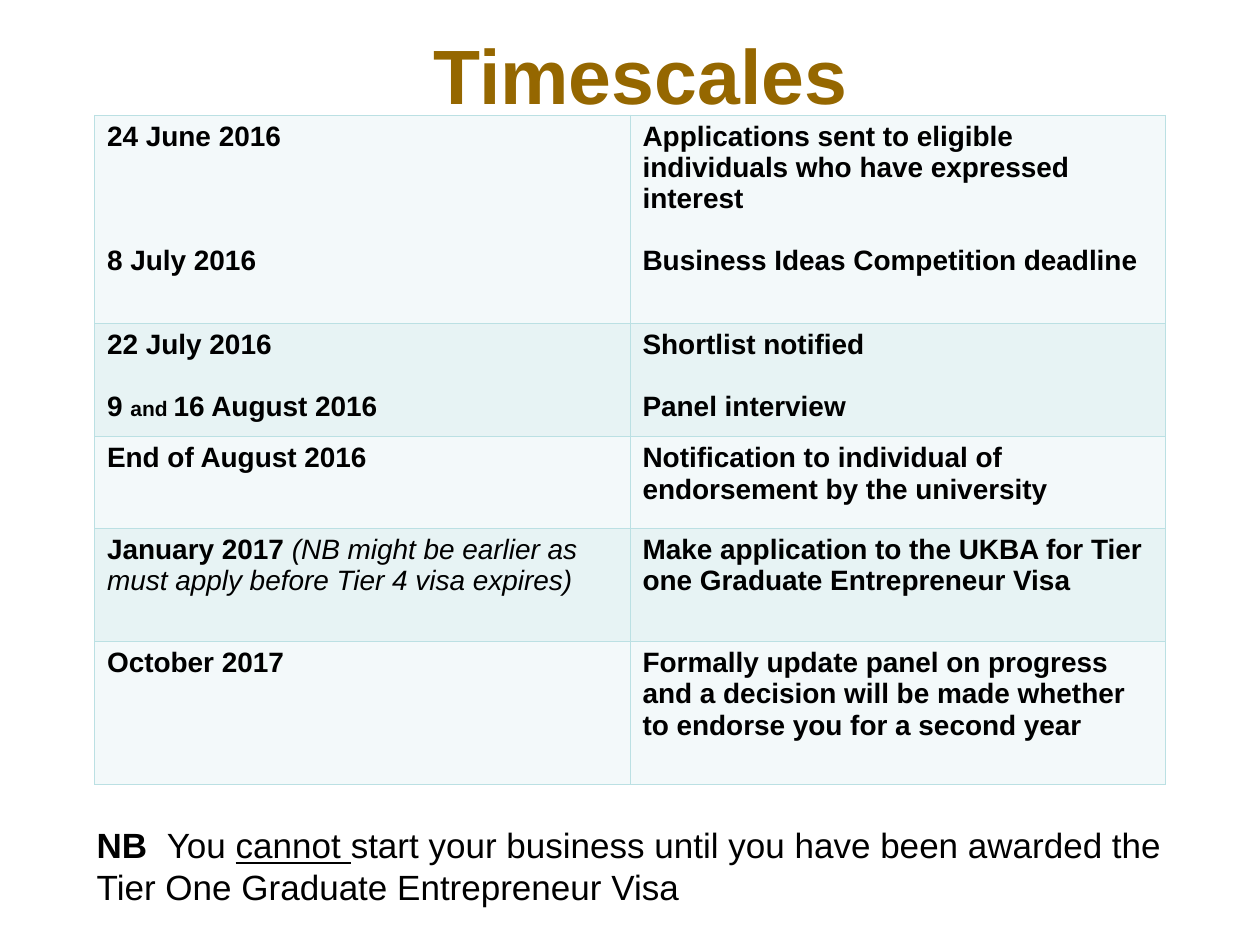
from lxml import etree
from pptx import Presentation
from pptx.dml.color import RGBColor
from pptx.enum.text import MSO_ANCHOR, PP_ALIGN
from pptx.oxml.ns import qn
from pptx.util import Pt

BOTTOM = MSO_ANCHOR.BOTTOM
CENTER = PP_ALIGN.CENTER
EDGES = ("a:lnL", "a:lnR", "a:lnT", "a:lnB")


def color(text):
    return RGBColor.from_string(text)


def write(para, runs, size):
    font = para.font
    font.name, font.size, font.bold = "Arial", Pt(size), True
    font.color.rgb = color("000000")
    for text, style in runs:
        run = para.add_run()
        run.text = text
        for key, value in style.items():
            setattr(run.font, key, value)


deck = Presentation()
deck.slide_width, deck.slide_height = Pt(720), Pt(540)
slide = deck.slides.add_slide(deck.slide_layouts[5])

title = slide.shapes.title
title.left, title.top, title.width, title.height = Pt(60), Pt(0), Pt(612), Pt(72)
frame = title.text_frame
frame.text = "Timescales"
frame.vertical_anchor = BOTTOM
head = frame.paragraphs[0]
head.alignment = CENTER
head.font.name, head.font.size, head.font.bold = "Arial", Pt(44), True
head.font.color.rgb = color("956700")

plain = {}
line = 17.7
rows = [
    (118.8,
     [(0, [("24 June 2016", plain)]), (3 * line, [("8 July 2016", plain)])],
     [(0, [("Applications sent to eligible individuals who have expressed interest", plain)]),
      (line, [("Business Ideas Competition deadline", plain)])]),
    (64.8,
     [(0, [("22 July 2016", plain)]),
      (line, [("9 ", plain), ("and ", {"size": Pt(12)}), ("16 August 2016", plain)])],
     [(0, [("Shortlist notified", plain)]), (line, [("Panel interview", plain)])]),
    (52.3,
     [(0, [("End of August 2016", plain)])],
     [(0, [("Notification to individual of endorsement by the university", plain)])]),
    (64.8,
     [(0, [("January 2017 ", plain),
           ("(NB might be earlier as must apply before Tier 4 visa expires)",
            {"bold": False, "italic": True})])],
     [(0, [("Make application to the UKBA for Tier one Graduate Entrepreneur Visa", plain)])]),
    (82,
     [(0, [("October 2017", plain)])],
     [(0, [("Formally update panel on progress and a decision will be made whether "
            "to endorse you for a second year", plain)])]),
]

table = slide.shapes.add_table(len(rows), 2, Pt(54), Pt(65.8), Pt(612), Pt(382.7)).table
table.first_row = False
for r, (height, *cells) in enumerate(rows):
    table.rows[r].height = Pt(height)
    for c, paras in enumerate(cells):
        cell = table.cell(r, c)
        frame = cell.text_frame
        for i, (gap, runs) in enumerate(paras):
            para = frame.add_paragraph() if i else frame.paragraphs[0]
            para.space_before = Pt(gap)
            write(para, runs, 16)
        props = cell._tc.get_or_add_tcPr()
        for edge in EDGES:
            border = etree.SubElement(props, qn(edge), w=str(Pt(0.45)))
            fill = etree.SubElement(border, qn("a:solidFill"))
            etree.SubElement(fill, qn("a:srgbClr"), val="BBE0E3")
        cell.fill.solid()
        cell.fill.fore_color.rgb = color("E7F3F4" if r % 2 else "F3F9FA")

note = slide.shapes.add_textbox(Pt(48.2), Pt(467.3), Pt(623.5), Pt(55.4))
frame = note.text_frame
frame.word_wrap = True
light = {"bold": False}
write(frame.paragraphs[0], [
    ("NB  ", plain),
    ("You ", light),
    ("cannot ", {"bold": False, "underline": True}),
    ("start your business until you have been awarded the Tier One Graduate Entrepreneur Visa", light),
], 20)

deck.save("out.pptx")
